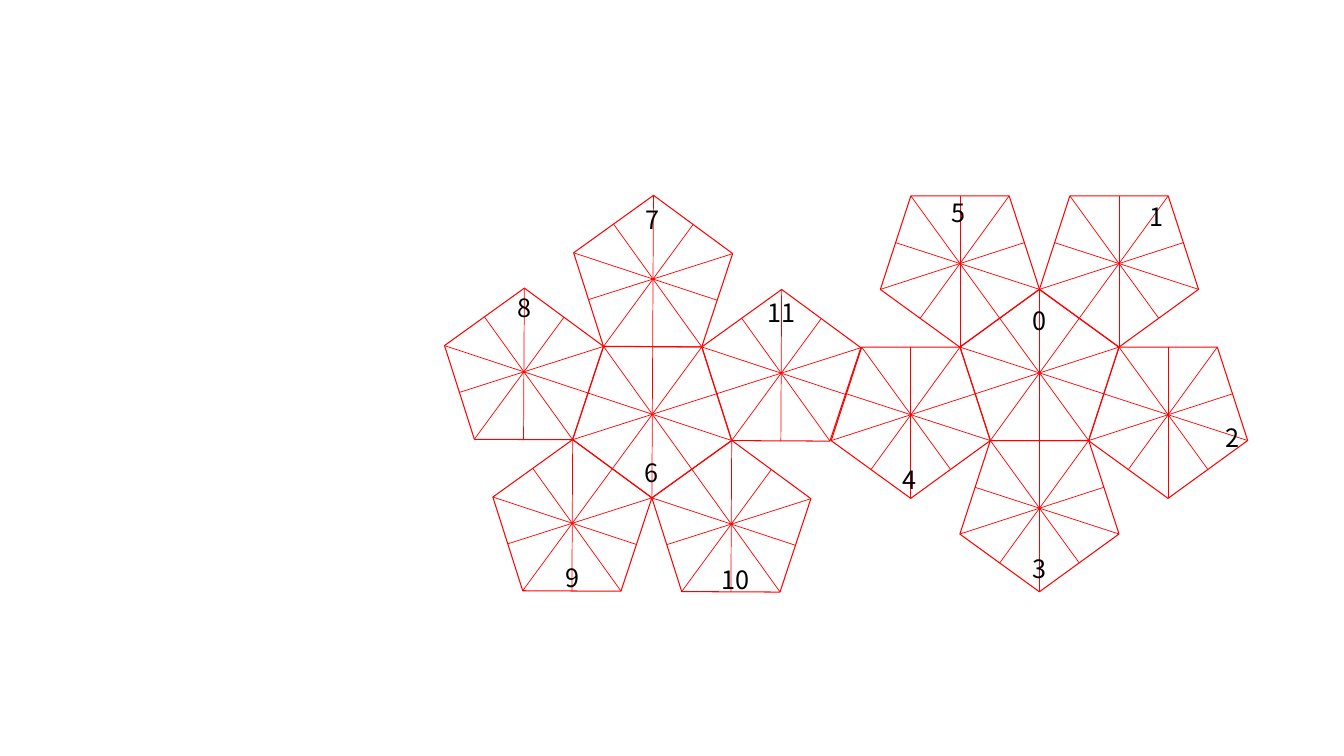
from dataclasses import dataclass
from math import cos, pi, radians, sin

from lxml import etree
from pptx import Presentation
from pptx.dml.color import RGBColor
from pptx.enum.shapes import MSO_CONNECTOR, MSO_SHAPE
from pptx.enum.text import MSO_AUTO_SIZE
from pptx.oxml.ns import qn
from pptx.util import Inches, Pt

STRAIGHT = MSO_CONNECTOR.STRAIGHT
PENTAGON = MSO_SHAPE.REGULAR_PENTAGON
GROW = MSO_AUTO_SIZE.SHAPE_TO_FIT_TEXT

FACE_WIDTH = 1.58
FACE_HEIGHT = 1.5
RADIUS = FACE_HEIGHT / (1 + cos(pi / 5))
INRADIUS = FACE_HEIGHT - RADIUS
LABEL_HEIGHT = 0.4

HALVES = [
    (10.31, 3.7, 0),
    (6.47, 4.11, -35.7),
]
LABELS = [
    ("0", 10.14, 2.98),
    ("1", 11.3, 1.95),
    ("2", 12.06, 4.14),
    ("3", 10.14, 5.44),
    ("4", 8.85, 4.56),
    ("5", 9.34, 1.91),
    ("6", 6.29, 4.49),
    ("7", 6.3, 1.98),
    ("8", 5.03, 2.85),
    ("9", 5.51, 5.53),
    ("10", 7.06, 5.55),
    ("11", 7.51, 2.9),
]


@dataclass(frozen=True)
class Theme:
    line: RGBColor = RGBColor(0xFF, 0x00, 0x00)
    text: RGBColor = RGBColor(0x00, 0x00, 0x00)
    font: str = "Noto Sans CJK JP"
    label_size: Pt = Pt(18)
    outline_width: Pt = Pt(0.75)
    spoke_width: Pt = Pt(0.5)


def polar(x, y, distance, angle):
    return x + distance * cos(radians(angle)), y + distance * sin(radians(angle))


class NetSlide:
    def __init__(self, slide, theme):
        self.slide = slide
        self.theme = theme

    def pentagon(self, group, x, y, rotation):
        box_x, box_y = polar(x, y, RADIUS - FACE_HEIGHT / 2, rotation - 90)
        shape = group.shapes.add_shape(
            PENTAGON,
            Inches(box_x - FACE_WIDTH / 2),
            Inches(box_y - FACE_HEIGHT / 2),
            Inches(FACE_WIDTH),
            Inches(FACE_HEIGHT),
        )
        shape.rotation = rotation
        shape.shadow.inherit = False
        shape.fill.background()
        shape.line.color.rgb = self.theme.line
        shape.line.width = self.theme.outline_width

    def spoke(self, group, start, end):
        connector = group.shapes.add_connector(
            STRAIGHT, *(Inches(value) for value in (*start, *end))
        )
        connector.line.color.rgb = self.theme.line
        connector.line.width = self.theme.spoke_width
        etree.SubElement(connector._element.spPr, qn("a:effectLst"))

    def face(self, x, y, rotation):
        group = self.slide.shapes.add_group_shape()
        self.pentagon(group, x, y, rotation)
        for corner in range(5):
            angle = rotation - 90 + 72 * corner
            self.spoke(group, polar(x, y, RADIUS, angle), polar(x, y, -INRADIUS, angle))

    def half(self, x, y, turn):
        self.face(x, y, 72 + turn)
        for side in range(5):
            petal_x, petal_y = polar(x, y, 2 * INRADIUS, 90 + turn + 72 * side)
            self.face(petal_x, petal_y, 324 + turn)

    def label(self, text, left, top):
        width = 0.2 + 0.14 * len(text)
        box = self.slide.shapes.add_textbox(
            Inches(left), Inches(top), Inches(width), Inches(LABEL_HEIGHT)
        )
        frame = box.text_frame
        frame.word_wrap = False
        frame.auto_size = GROW
        paragraph = frame.paragraphs[0]
        paragraph.text = text
        paragraph.font.name = self.theme.font
        paragraph.font.size = self.theme.label_size
        paragraph.font.color.rgb = self.theme.text


def main():
    presentation = Presentation()
    presentation.slide_width = Inches(13.33)
    presentation.slide_height = Inches(7.5)
    slide = presentation.slides.add_slide(presentation.slide_layouts[6])
    net = NetSlide(slide, Theme())
    for x, y, turn in HALVES:
        net.half(x, y, turn)
    for text, left, top in LABELS:
        net.label(text, left, top)
    presentation.save("out.pptx")


if __name__ == "__main__":
    main()
